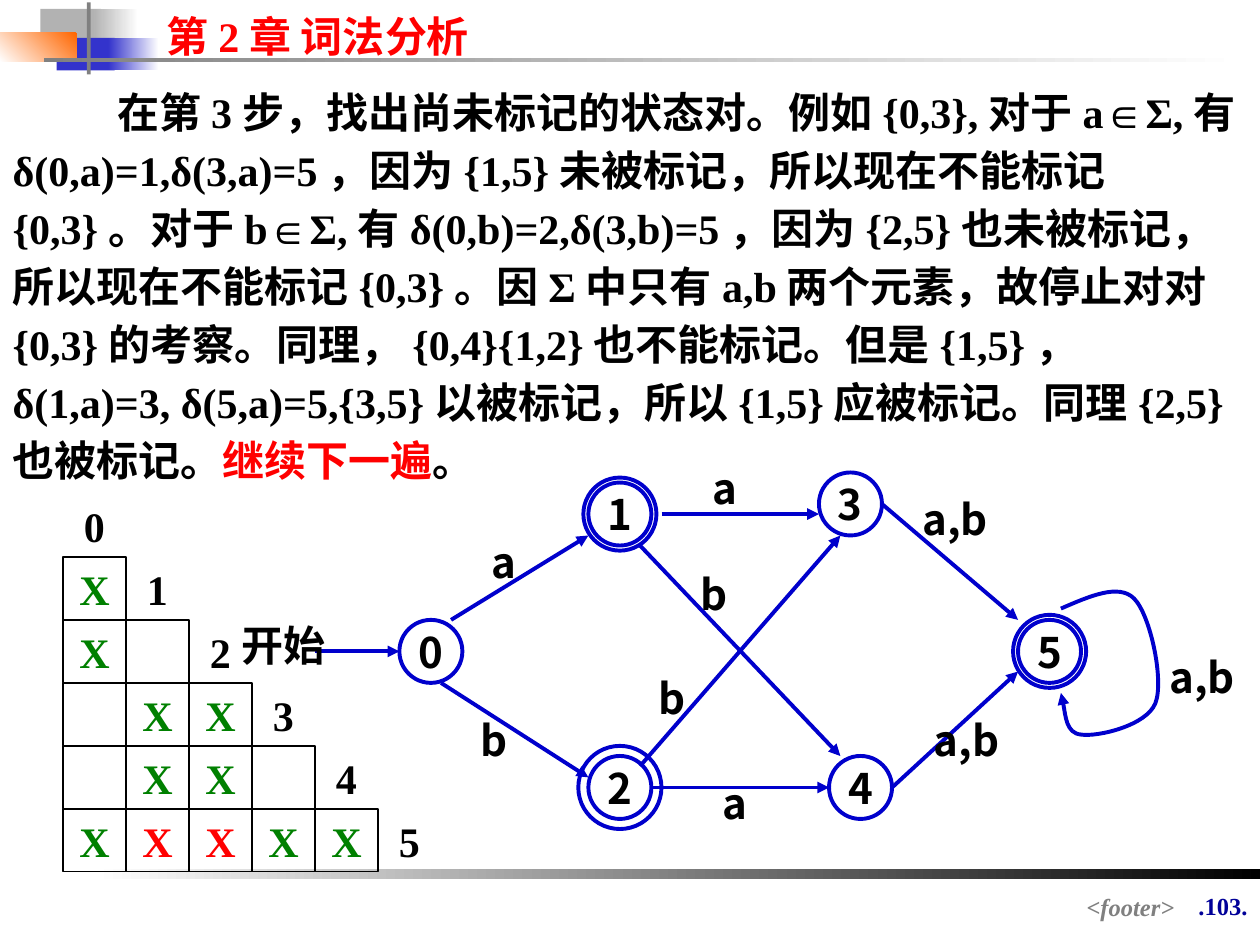
from lxml import etree
from pptx import Presentation
from pptx.dml.color import RGBColor
from pptx.enum.shapes import MSO_CONNECTOR, MSO_SHAPE
from pptx.enum.text import MSO_ANCHOR, MSO_AUTO_SIZE, PP_ALIGN
from pptx.oxml.ns import qn
from pptx.util import Inches, Pt

SERIF, SANS, ARIAL = "Times New Roman", "Noto Sans CJK JP", "Arial"
BLACK = RGBColor(0x00, 0x00, 0x00)
WHITE = RGBColor(0xFF, 0xFF, 0xFF)
RED = RGBColor(0xFF, 0x00, 0x00)
GREEN = RGBColor(0x00, 0x80, 0x00)
BLUE = RGBColor(0x00, 0x00, 0xCC)
NAVY = RGBColor(0x00, 0x00, 0x99)
INDIGO = RGBColor(0x33, 0x33, 0xCC)
ORANGE = RGBColor(0xFF, 0x66, 0x00)
GRAY = RGBColor(0x80, 0x80, 0x80)
SILVER = RGBColor(0xB2, 0xB2, 0xB2)


def add_run(p, text, font=SERIF, color=BLACK, size=24):
    r = p.add_run()
    r.text = text
    r.font.name, r.font.size, r.font.bold = font, Pt(size), True
    r.font.color.rgb = color
    return r


def add_box(kind, x, y, w, h, text="", font=SANS, color=BLACK, line=None, width=2.25):
    """Outlined shape, or a plain text box when kind is None, with centred text."""
    at = Inches(x), Inches(y), Inches(w), Inches(h)
    if kind is None:
        sp = slide.shapes.add_textbox(*at)
    else:
        sp = slide.shapes.add_shape(kind, *at)
        sp.shadow.inherit = False
        sp.fill.background()
        sp.line.color.rgb = line
        sp.line.width = Pt(width)
    tf = sp.text_frame
    tf.word_wrap = False
    tf.vertical_anchor = MSO_ANCHOR.MIDDLE
    tf.paragraphs[0].alignment = PP_ALIGN.CENTER
    if text:
        add_run(tf.paragraphs[0], text, font, color)


prs = Presentation()
prs.slide_width, prs.slide_height = Inches(10), Inches(7.5)
slide = prs.slides.add_slide(prs.slide_layouts[1])

# Header and footer bars: one colour, or two with a gradient angle
for x, y, w, h, colors, angle in [
    (0.32, 0.07, 0.48, 0.26, [SILVER], 0),
    (0.74, 0.07, 0.36, 0.26, [WHITE, SILVER], 180),
    (0.45, 0.3, 0.46, 0.26, [INDIGO], 0),
    (0.86, 0.3, 0.4, 0.26, [WHITE, INDIGO], 180),
    (0, 0.26, 0.61, 0.23, [ORANGE, WHITE], 225),
    (0.69, 0.02, 0.03, 0.57, [GRAY], 0),
    (0.35, 0.46, 9.51, 0.03, [WHITE, GRAY], 180),
    (0.75, 6.9, 9.25, 0.08, [BLACK, WHITE], 180),
]:
    sp = slide.shapes.add_shape(MSO_SHAPE.RECTANGLE, Inches(x), Inches(y), Inches(w), Inches(h))
    sp.shadow.inherit = False
    sp.line.fill.background()
    if len(colors) == 1:
        sp.fill.solid()
        sp.fill.fore_color.rgb = colors[0]
    else:
        sp.fill.gradient()
        sp.fill.gradient_angle = angle
        for stop, color in zip(sp.fill.gradient_stops, colors):
            stop.color.rgb = color

# Title and body placeholders
title, body = slide.shapes.title, slide.placeholders[1]
for sp, x, y, w, h in [(title, 1.22, 0.03, 3.15, 0.5), (body, 0, 0.58, 10, 3.32)]:
    sp.left, sp.top, sp.width, sp.height = Inches(x), Inches(y), Inches(w), Inches(h)
    sp.text_frame.auto_size = MSO_AUTO_SIZE.NONE
    sp.text_frame.word_wrap = True
    sp.text_frame.vertical_anchor = MSO_ANCHOR.TOP
    sp.text_frame.paragraphs[0].alignment = PP_ALIGN.LEFT
add_run(title.text_frame.paragraphs[0], "第2章 词法分析", color=RED)

p = body.text_frame.paragraphs[0]
p.line_spacing, p.space_before = 1.15, Pt(15)
pPr = p._p.get_or_add_pPr()
pPr.set("marL", "0")
pPr.set("indent", str(Inches(0.83)))
etree.SubElement(pPr, qn("a:buNone"))
for text, font, color in [
    ("在第3步，找出尚未标记的状态对。例如{0,3},对于a", SERIF, BLACK),
    ("∈", ARIAL, BLACK),
    ("Σ,有δ(0,a)=1,δ(3,a)=5，因为{1,5}未被标记，所以现在不能标记{0,3}。对于b", SERIF, BLACK),
    ("∈", ARIAL, BLACK),
    ("Σ,有δ(0,b)=2,δ(3,b)=5，因为{2,5}也未被标记，所以现在不能标记{0,3}。"
     "因Σ中只有a,b两个元素，故停止对对{0,3}的考察。同理，{0,4}{1,2}也不能标记。"
     "但是{1,5}， δ(1,a)=3, δ(5,a)=5,{3,5}以被标记，所以{1,5}应被标记。"
     "同理{2,5}也被标记。", SERIF, BLACK),
    ("继续下一遍", SERIF, RED),
    ("。", SERIF, BLACK),
]:
    add_run(p, text, font, color)

# Footer and page number
for x, y, w, h, text, color, italic in [
    (9.33, 7.02, 0.67, 0.57, ".103.", NAVY, False),
    (2.64, 7.03, 6.78, 0.26, "<footer>", GRAY, True),
]:
    tf = slide.shapes.add_textbox(Inches(x), Inches(y), Inches(w), Inches(h)).text_frame
    tf.word_wrap = True
    tf.paragraphs[0].alignment = PP_ALIGN.RIGHT
    add_run(tf.paragraphs[0], text, color=color, size=14).font.italic = italic

# Automaton states, with an outer ring round the accepting ones
for name, x, y, ring in [
    ("0", 3.17, 4.92, 0), ("1", 4.67, 3.83, 0.04), ("2", 4.67, 6, 0.08),
    ("3", 6.5, 3.75, 0), ("4", 6.58, 6, 0), ("5", 8.08, 4.92, 0.04),
]:
    add_box(MSO_SHAPE.OVAL, x, y, 0.5, 0.5, name, line=BLUE)
    if ring:
        add_box(MSO_SHAPE.OVAL, x - ring, y - ring, 0.5 + 2 * ring, 0.5 + 2 * ring, line=BLUE)

# Transitions
arrows = []
for x1, y1, x2, y2 in [
    (2.5, 5.17, 3.17, 5.17), (3.58, 4.92, 4.67, 4.25), (3.5, 5.42, 4.67, 6.17),
    (5.25, 4.08, 6.5, 4.08), (5.17, 6.25, 6.58, 6.25), (7, 4, 8.08, 4.92),
    (7.08, 6.25, 8.08, 5.33), (5.08, 4.33, 6.67, 6), (5.08, 6.08, 6.67, 4.25),
]:
    cxn = slide.shapes.add_connector(
        MSO_CONNECTOR.STRAIGHT, Inches(x1), Inches(y1), Inches(x2), Inches(y2))
    arrows.append(cxn)

# Loop on state 5: each three points after the start make one Bezier curve
fb = slide.shapes.build_freeform(Inches(8.42), Inches(4.83))
fb.add_line_segments([(Inches(x), Inches(y)) for x, y in [
    (8.65, 4.73), (8.88, 4.63), (9, 4.75), (9.13, 4.88), (9.24, 5.4), (9.17, 5.58),
    (9.1, 5.76), (8.71, 5.85), (8.58, 5.83), (8.46, 5.82), (8.44, 5.56), (8.42, 5.5),
]], close=False)
loop = fb.convert_to_shape()
loop.fill.background()
outline = loop._element.find(".//" + qn("a:path"))
segments = outline.findall(qn("a:lnTo"))
for i in range(0, len(segments), 3):
    curve = etree.SubElement(outline, qn("a:cubicBezTo"))
    for segment in segments[i:i + 3]:
        curve.append(segment[0])
        outline.remove(segment)
arrows.append(loop)

for sp in arrows:
    sp.line.color.rgb = BLUE
    sp.line.width = Pt(2.25)
    spPr = sp._element.spPr
    etree.SubElement(spPr.find(qn("a:ln")), qn("a:tailEnd"), type="triangle")
    etree.SubElement(spPr, qn("a:effectLst"))

# Transition labels, placed by their centres and wide enough for one line
LABEL_W, LABEL_H = 0.92, 0.58
for text, cx, cy in [
    ("a,b", 9.54, 5.37), ("开始", 2.25, 5.12), ("a", 4, 4.46), ("a,b", 7.58, 4.12),
    ("a", 5.75, 3.87), ("a", 5.83, 6.37), ("a,b", 7.67, 5.87), ("b", 3.92, 5.87),
    ("b", 5.67, 4.71), ("b", 5.33, 5.54),
]:
    add_box(None, cx - LABEL_W / 2, cy - LABEL_H / 2, LABEL_W, LABEL_H, text)

# Staircase of state pairs: X marked earlier, R marked in this pass, - unmarked
CELL = 0.5
MARKS = {"X": ("X", GREEN), "R": ("X", RED), "-": ("", BLACK)}
for row, marks in enumerate(["", "X", "X-", "-XX", "-XX-", "XRRXX"]):
    y = 3.92 + CELL * row
    for col, mark in enumerate(marks):
        text, color = MARKS[mark]
        add_box(MSO_SHAPE.RECTANGLE, 0.5 + CELL * col, y, CELL, CELL, text, SERIF, color,
                line=BLACK, width=0.75)
    add_box(None, 0.5 + CELL * row, y, CELL, CELL, str(row), SERIF)

prs.save("out.pptx")
